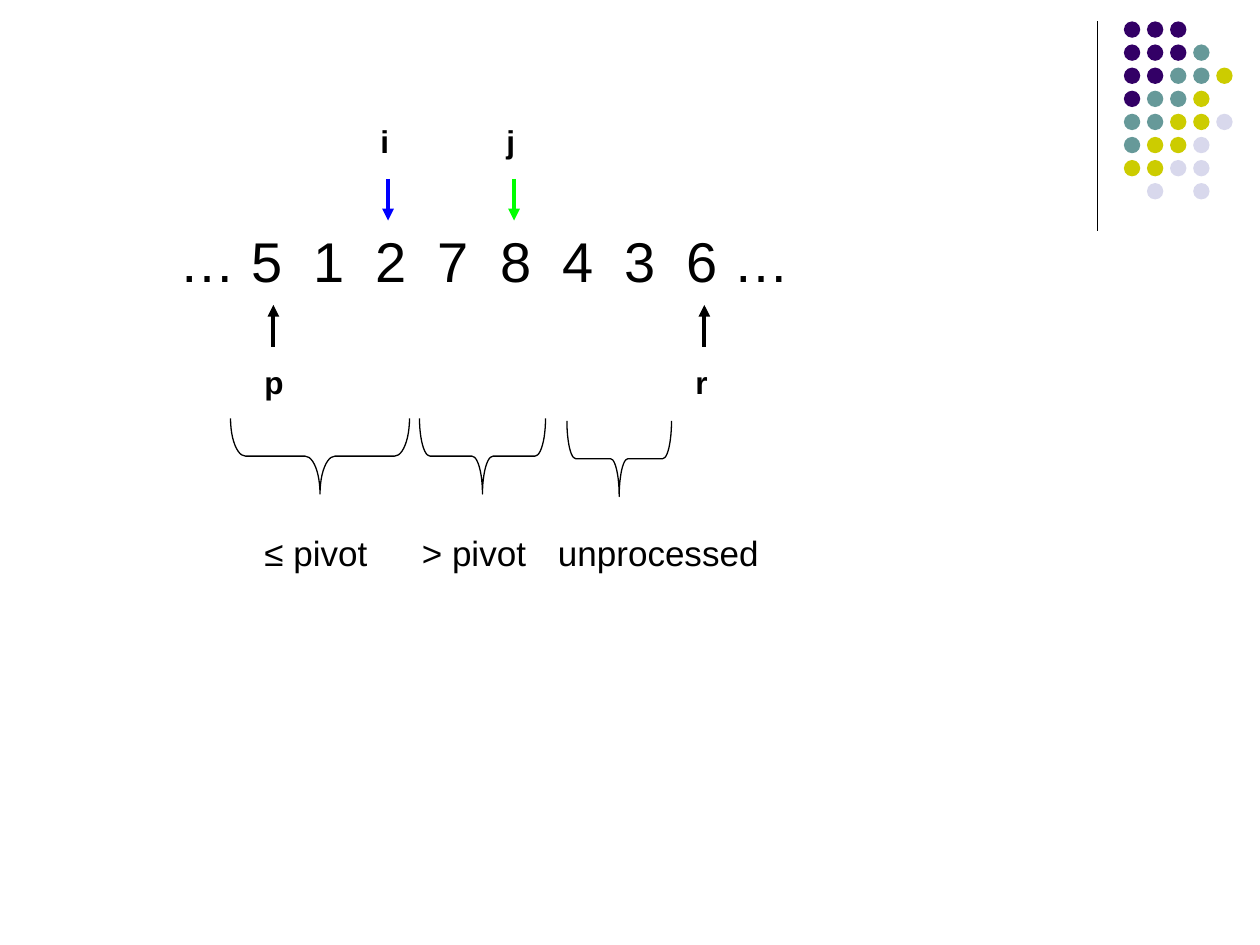
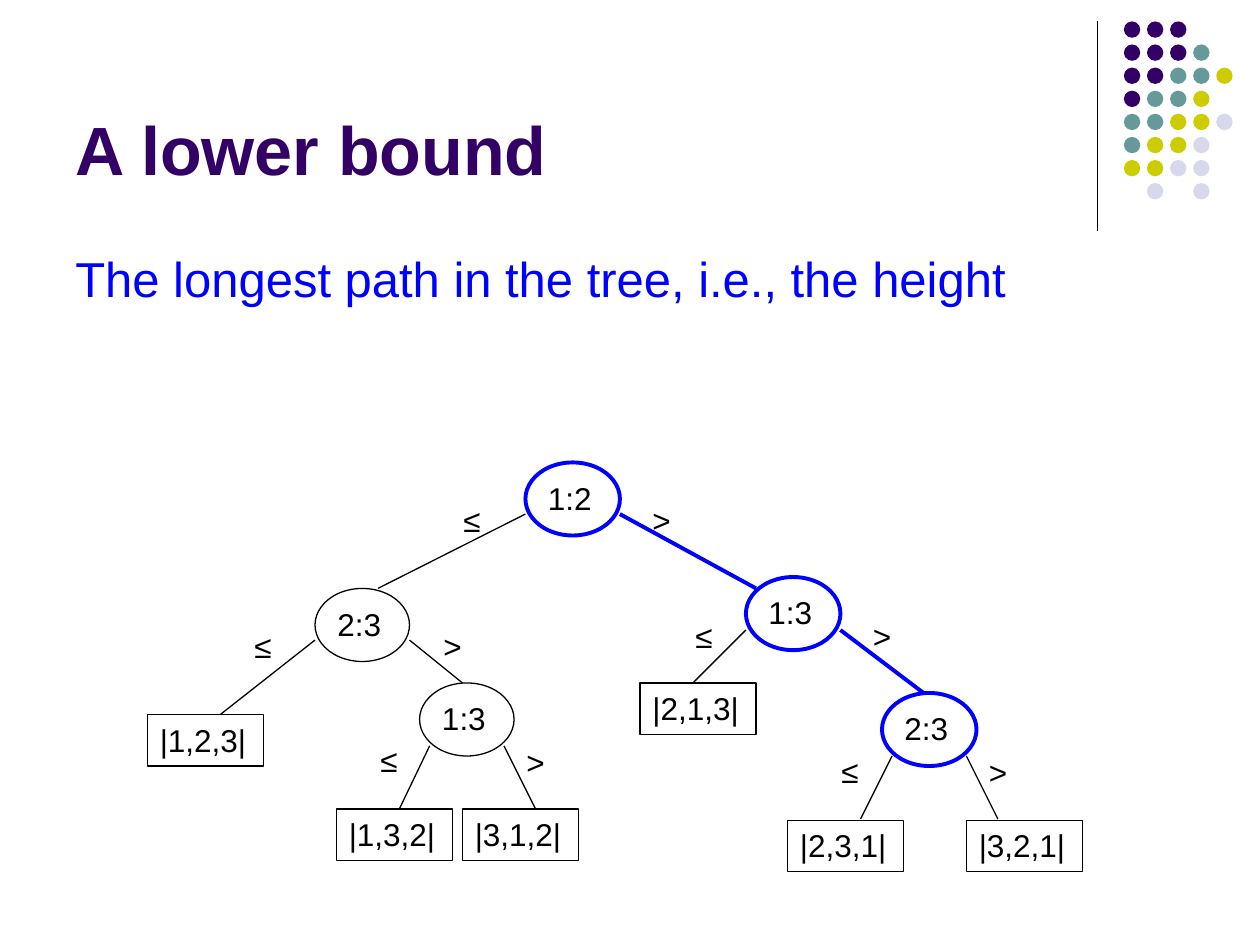
import pptx
import pptx.util
import pptx.dml.color
import pptx.enum.shapes
import pptx.enum.text
import pptx.oxml
import pptx.oxml.ns
from lxml import etree

Inches = pptx.util.Inches
Pt = pptx.util.Pt
SHAPE = pptx.enum.shapes.MSO_SHAPE
AUTO_SIZE = pptx.enum.text.MSO_AUTO_SIZE
ANCHOR = pptx.enum.text.MSO_ANCHOR

COLOURS = {
    "ink": "000000",
    "purple": "330066",
    "teal": "669999",
    "olive": "CCCC00",
    "lilac": "D8D8EC",
    "blue": "0000FF",
    "green": "00FF00",
}
THIN, THICK = 0.75, 2.25

# Dot ornament: one letter per dot, a space leaves a gap
DOT_ROWS = ["PPP", "PPPT", "PPTTO", "PTTO", "TTOOL", "TOOL", "OOLL", " L L"]
DOT_COLOURS = {"P": "purple", "T": "teal", "O": "olive", "L": "lilac"}
DOT_PITCH, DOT_SIZE = 1.1 / 6, 0.13

NODE_W, NODE_H = 0.75, 0.58


class Deck:
    """Holds the shared style and the slide being drawn."""

    def __init__(self):
        self.prs = pptx.Presentation()
        self.prs.slide_width, self.prs.slide_height = Inches(10), Inches(7.5)
        self.slide = None

    def rgb(self, colour):
        return pptx.dml.color.RGBColor.from_string(COLOURS[colour])

    def new_slide(self, title=None):
        layout = self.prs.slide_layouts[5 if title else 6]
        self.slide = self.prs.slides.add_slide(layout)
        self.ornament()
        if title:
            self.title(title)

    def ornament(self):
        self.line((8.71, 0.17), (8.71, 1.83))
        dots = self.slide.shapes.add_group_shape()
        for row, letters in enumerate(DOT_ROWS):
            for column, letter in enumerate(letters):
                if letter in DOT_COLOURS:
                    self.shape(SHAPE.OVAL, 8.92 + column * DOT_PITCH,
                               0.17 + row * DOT_PITCH, DOT_SIZE, DOT_SIZE,
                               fill=DOT_COLOURS[letter], parent=dots)

    def title(self, words):
        holder = self.slide.shapes.title
        place = {"left": 0.5, "top": 0.13, "width": 8.25, "height": 1.42}
        for side, length in place.items():
            setattr(holder, side, Inches(length))
        self.set_text(holder.text_frame, words, 39, "purple", bold=True,
                      vertical_anchor=ANCHOR.BOTTOM, auto_size=AUTO_SIZE.NONE)

    def set_text(self, frame, words, size, colour="ink", bold=False, **frame_format):
        frame_values = {"word_wrap": True, "vertical_anchor": ANCHOR.TOP, **frame_format}
        for name, value in frame_values.items():
            setattr(frame, name, value)
        paragraph = frame.paragraphs[0]
        paragraph.alignment = pptx.enum.text.PP_ALIGN.LEFT
        run = paragraph.add_run()
        run.text = words
        for name, value in {"name": "Arial", "size": Pt(size), "bold": bold}.items():
            setattr(run.font, name, value)
        run.font.color.rgb = self.rgb(colour)

    def text(self, words, left, top, width, height=0.4, size=18, **style):
        box = self.slide.shapes.add_textbox(
            Inches(left), Inches(top), Inches(width), Inches(height))
        self.set_text(box.text_frame, words, size, **style)

    def shape(self, kind, left, top, width, height, fill=None,
              line=None, weight=THIN, parent=None):
        outline = (parent or self.slide).shapes.add_shape(
            kind, Inches(left), Inches(top), Inches(width), Inches(height))
        outline.shadow.inherit = False
        for part, colour in ((outline.fill, fill), (outline.line.fill, line)):
            if colour:
                part.solid()
                part.fore_color.rgb = self.rgb(colour)
            else:
                part.background()
        if line:
            outline.line.width = Pt(weight)
        return outline

    def line(self, start, end, colour="ink", weight=THIN, arrow=False):
        stroke = self.slide.shapes.add_connector(
            pptx.enum.shapes.MSO_CONNECTOR.STRAIGHT,
            *(Inches(length) for length in (*start, *end)))
        stroke.line.color.rgb = self.rgb(colour)
        stroke.line.width = Pt(weight)
        qn = pptx.oxml.ns.qn
        properties = stroke.element.spPr
        if arrow:
            etree.SubElement(properties.find(qn("a:ln")), qn("a:tailEnd"), type="triangle")
        etree.SubElement(properties, qn("a:effectLst"))

    def pointer(self, name, left, label_top, start, end, tip_dx, colour="ink"):
        self.line((left + tip_dx, start), (left + tip_dx, end), colour, THICK, arrow=True)
        self.text(name, left, label_top, 0.42, bold=True)

    def brace(self, left, top, span, depth=0.6):
        # The frame is given before its quarter turn
        curl = self.shape(SHAPE.LEFT_BRACE, left + (span - depth) / 2,
                          top + (depth - span) / 2, depth, span, line="ink")
        curl.rotation = 270
        curl.adjustments[0] = 0.139 * span

    def leaf(self, order, left, top):
        box = self.shape(SHAPE.RECTANGLE, left, top, 0.92, 0.41, line="ink")
        self.set_text(box.text_frame, order, 18)

    def node(self, pair, left, top, longest):
        colour, weight = ("blue", THICK) if longest else ("ink", THIN)
        self.shape(SHAPE.OVAL, left, top, NODE_W, NODE_H, line=colour, weight=weight)
        self.text(pair, left + 0.08, top + 0.08, 0.67)


def partition_slide(deck):
    deck.new_slide()

    # Array with its index pointers
    deck.text("… 5  1  2  7  8  4  3  6 …", 1.33, 1.75, 5.17, 0.63, size=32)
    for name, left, colour in (("i", 2.92, "blue"), ("j", 3.92, "green")):
        deck.pointer(name, left, 0.92, 1.42, 1.75, 0.16, colour)
    for name, left in (("p", 2), ("r", 5.42)):
        deck.pointer(name, left, 2.83, 2.75, 2.42, 0.17)

    # Regions of the array
    regions = [
        ("≤ pivot", 2, 1.17, (1.83, 3.32, 1.42)),
        ("> pivot", 3.25, 1.17, (3.33, 3.32, 1)),
        ("unprocessed", 4.33, 2, (4.5, 3.34, 0.83)),
    ]
    for words, left, width, brace in regions:
        deck.brace(*brace)
        deck.text(words, left, 4.17, width, 0.43, size=20)


def lower_bound_slide(deck):
    deck.new_slide("A lower bound")
    deck.text("The longest path in the tree, i.e., the height",
              0.5, 1.92, 9, 0.6, size=28, colour="blue")

    # Comparisons: pair, left, top, on longest path, edge inset and drop,
    # offsets of the ≤ and > signs, ends of both edges, longest path goes on
    comparisons = [
        ("1:2", 4.17, 3.67, True, (0, 0.41), (-0.59, 0.26), (0.91, 0.26),
         (3, 4.67), (6, 4.67), True),
        ("2:3", 2.5, 4.67, False, (0, 0.41), (-0.58, 0.26), (0.92, 0.26),
         (1.75, 5.67), (3.67, 5.42), False),
        ("1:3", 5.92, 4.58, True, (0, 0.42), (-0.5, 0.27), (0.91, 0.27),
         (5.5, 5.42), (7.33, 5.5), True),
        ("1:3", 3.33, 5.42, False, (0.08, 0.5), (-0.41, 0.41), (0.75, 0.43),
         (3.17, 6.42), (4.25, 6.42), False),
        ("2:3", 7, 5.5, True, (0.08, 0.5), (-0.42, 0.42), (0.75, 0.43),
         (6.83, 6.5), (7.92, 6.5), False),
    ]
    for (pair, left, top, longest, (inset, drop), at_most, greater,
         left_end, right_end, goes_on) in comparisons:
        deck.node(pair, left, top, longest)
        deck.line((left + inset, top + drop), left_end)
        deck.line((left + NODE_W - inset, top + drop), right_end,
                  *(("blue", THICK) if goes_on else ("ink", THIN)))
        for sign, (dx, dy) in (("≤", at_most), (">", greater)):
            deck.text(sign, left + dx, top + dy, 0.42)

    # Resulting orders
    leaves = [
        ("|1,2,3|", 1.17, 5.67), ("|1,3,2|", 2.67, 6.42), ("|3,1,2|", 3.67, 6.42),
        ("|2,1,3|", 5.08, 5.42), ("|2,3,1|", 6.25, 6.51), ("|3,2,1|", 7.67, 6.51),
    ]
    for leaf in leaves:
        deck.leaf(*leaf)


def main():
    deck = Deck()
    partition_slide(deck)
    lower_bound_slide(deck)
    deck.prs.save("out.pptx")


if __name__ == "__main__":
    main()
